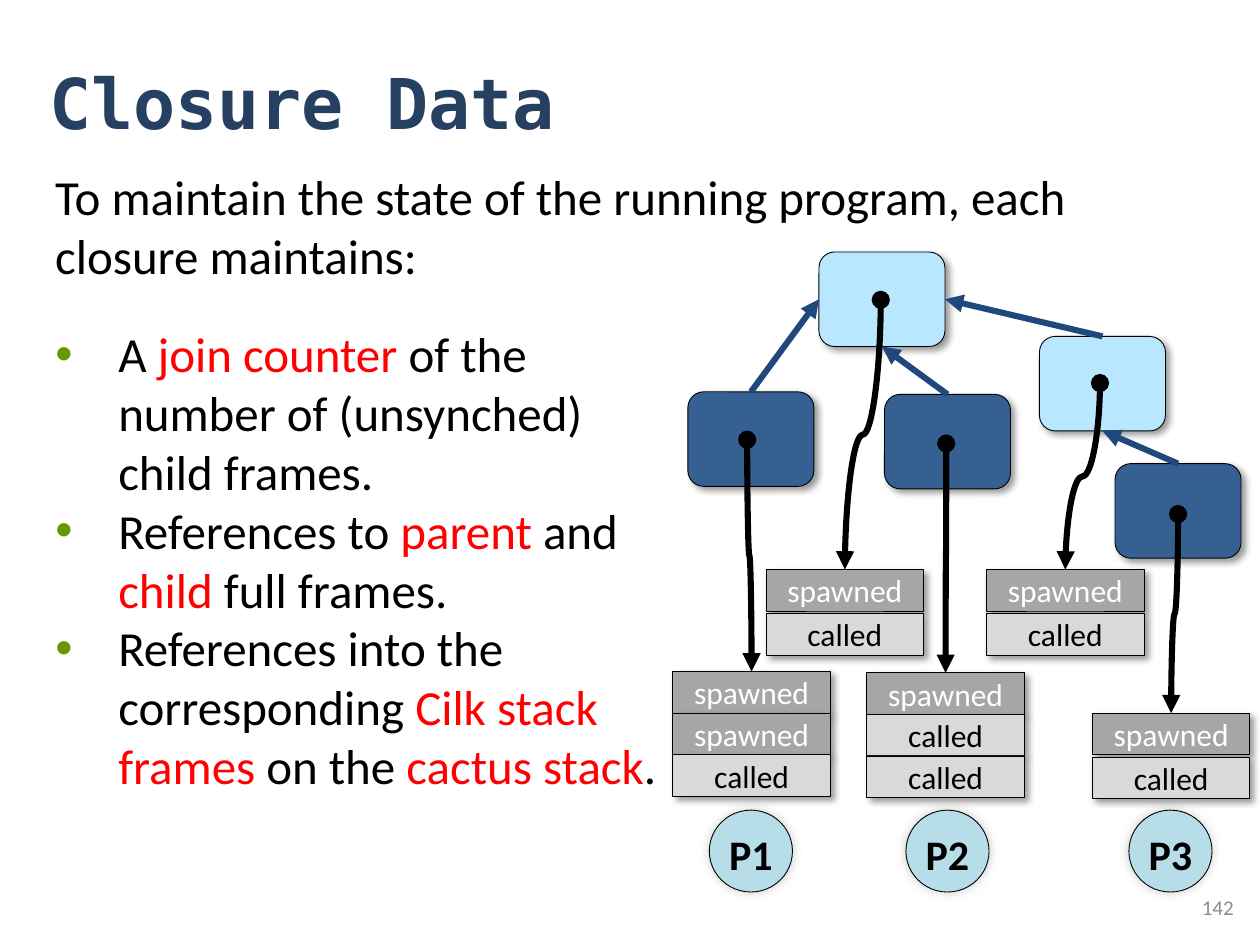
from pptx import Presentation
from pptx.dml.color import RGBColor
from pptx.enum.shapes import MSO_CONNECTOR, MSO_SHAPE
from pptx.enum.text import MSO_ANCHOR, MSO_AUTO_SIZE, PP_ALIGN
from pptx.oxml.ns import qn
from pptx.util import Emu, Pt
from lxml import etree

STRAIGHT, CURVE = MSO_CONNECTOR.STRAIGHT, MSO_CONNECTOR.CURVE
RECTANGLE, ROUNDED, OVAL = MSO_SHAPE.RECTANGLE, MSO_SHAPE.ROUNDED_RECTANGLE, MSO_SHAPE.OVAL
TOP, MIDDLE = MSO_ANCHOR.TOP, MSO_ANCHOR.MIDDLE
LEFT, CENTER, RIGHT = PP_ALIGN.LEFT, PP_ALIGN.CENTER, PP_ALIGN.RIGHT
GROW, NO_FIT = MSO_AUTO_SIZE.SHAPE_TO_FIT_TEXT, MSO_AUTO_SIZE.NONE

BLACK = RGBColor(0x00, 0x00, 0x00)
WHITE = RGBColor(0xFF, 0xFF, 0xFF)
RED = RGBColor(0xFF, 0x00, 0x00)
NAVY = RGBColor(0x25, 0x40, 0x61)
ARROW_BLUE = RGBColor(0x1F, 0x49, 0x7D)
DARK_BLUE = RGBColor(0x37, 0x60, 0x92)
LIGHT_BLUE = RGBColor(0xB9, 0xE7, 0xFF)
PALE_TEAL = RGBColor(0xB7, 0xDE, 0xE8)
DARK_GRAY = RGBColor(0xA6, 0xA6, 0xA6)
LIGHT_GRAY = RGBColor(0xD9, 0xD9, 0xD9)
NUMBER_GRAY = RGBColor(0x8C, 0x8C, 0x8C)
BULLET_GREEN = RGBColor(0x66, 0x99, 0x00)

BODY_FONT, TITLE_FONT = "Calibri", "DejaVu Sans Mono"
SCALE = 9144
BOX_WIDTH, BOX_HEIGHT = 100, 75
FRAME_WIDTH, FRAME_HEIGHT = 125, 33
BOX_SHADOW = (40, 4, 3, 45)
CIRCLE_SHADOW = (20, 6, 0, 315)
FRAME_STYLES = {"spawned": (DARK_GRAY, WHITE), "called": (LIGHT_GRAY, BLACK)}

INTRO = "To maintain the state of the running program, each closure maintains:"
BULLETS = [
    [("A ", BLACK), ("join counter ", RED), ("of the number of (unsynched) child frames.", BLACK)],
    [("References to ", BLACK), ("parent", RED), (" and ", BLACK), ("child", RED),
     (" full frames.", BLACK)],
    [("References into the corresponding ", BLACK), ("Cilk stack frames ", RED),
     ("on the ", BLACK), ("cactus stack", RED), (".", BLACK)],
]
CLOSURES = {
    "root": (650, 200, LIGHT_BLUE),
    "left": (546, 311, DARK_BLUE),
    "middle": (702, 313, DARK_BLUE),
    "right": (825, 267, LIGHT_BLUE),
    "leaf": (885, 368, DARK_BLUE),
}
PARENTS = [("left", "root", 1), ("middle", "root", 2), ("right", "root", 3), ("leaf", "right", 2)]
STACKS = [
    (534, 533, 33, ["spawned", "spawned", "called"], (593, 349)),
    (608, 452, 35, ["spawned", "called"], (699, 238)),
    (688, 534, 33, ["spawned", "called", "called"], (751, 352)),
    (783, 452, 35, ["spawned", "called"], (873, 304)),
    (867, 566, 35, ["spawned", "called"], (935, 408)),
]
PROCESSORS = [("P1", 563), ("P2", 719), ("P3", 896)]


def px(*lengths):
    return [Emu(round(length * SCALE)) for length in lengths]


def add_element(parent, tag, **attributes):
    return etree.SubElement(parent, qn(tag), {key: str(value) for key, value in attributes.items()})


def add_bullet(paragraph, indent):
    properties = paragraph._p.get_or_add_pPr()
    properties.set("marL", str(px(indent)[0]))
    properties.set("indent", str(px(-indent)[0]))
    add_element(add_element(properties, "a:buClr"), "a:srgbClr", val=BULLET_GREEN)
    add_element(properties, "a:buFont", typeface="Arial")
    add_element(properties, "a:buChar", char="•")


def write_text(frame, paragraphs, size=28, font=BODY_FONT, bold=False, align=LEFT,
               anchor=TOP, wrap=True, fit=NO_FIT, bullets=False):
    frame.auto_size, frame.word_wrap, frame.vertical_anchor = fit, wrap, anchor
    for index, runs in enumerate(paragraphs):
        paragraph = frame.add_paragraph() if index else frame.paragraphs[0]
        paragraph.alignment = align
        if bullets:
            add_bullet(paragraph, 50)
        for text, color in runs:
            run = paragraph.add_run()
            run.text = text
            run.font.size, run.font.name, run.font.bold = Pt(size), font, bold
            run.font.color.rgb = color


class SlideBuilder:
    def __init__(self, slide):
        self.slide = slide
        self.shapes = slide.shapes

    def title(self, text, *bounds):
        title = self.shapes.title
        title.left, title.top, title.width, title.height = px(*bounds)
        write_text(title.text_frame, [[(text, NAVY)]], size=40, font=TITLE_FONT,
                   bold=True, anchor=MIDDLE)

    def text(self, paragraphs, *bounds, **style):
        box = self.shapes.add_textbox(*px(*bounds))
        write_text(box.text_frame, paragraphs, **style)

    def shape(self, kind, fill, shadow, *bounds):
        shape = self.shapes.add_shape(kind, *px(*bounds))
        shape.fill.solid()
        shape.fill.fore_color.rgb = fill
        shape.line.color.rgb = BLACK
        shape.line.width = Pt(0.5)
        opacity, blur, distance, angle = shadow
        effects = add_element(shape._element.spPr, "a:effectLst")
        outer = add_element(effects, "a:outerShdw", blurRad=Pt(blur), dist=Pt(distance),
                            dir=angle * 60000, algn="ctr", rotWithShape=0)
        add_element(add_element(outer, "a:srgbClr", val=BLACK), "a:alpha", val=opacity * 1000)
        return shape

    def closure(self, left, top, fill):
        return self.shape(ROUNDED, fill, BOX_SHADOW, left, top, BOX_WIDTH, BOX_HEIGHT)

    def stack(self, left, top, pitch, labels):
        for index, label in enumerate(labels):
            fill, color = FRAME_STYLES[label]
            frame = self.shape(RECTANGLE, fill, BOX_SHADOW, left, top + index * pitch,
                               FRAME_WIDTH, FRAME_HEIGHT)
            write_text(frame.text_frame, [[(label, color)]], size=18, align=CENTER,
                       anchor=MIDDLE, wrap=False)

    def processor(self, label, left):
        circle = self.shape(OVAL, PALE_TEAL, CIRCLE_SHADOW, left, 643, 66, 65)
        write_text(circle.text_frame, [[(label, BLACK)]], size=24, bold=True,
                   align=CENTER, wrap=False)

    def style_arrow(self, connector, color, head=None):
        connector.line.color.rgb = color
        connector.line.width = Pt(3.5)
        line = connector.line._get_or_add_ln()
        if head:
            add_element(line, "a:headEnd", type=head)
        add_element(line, "a:tailEnd", type="triangle")
        add_element(connector._element.spPr, "a:effectLst")

    def parent_arrow(self, child, parent, side):
        connector = self.shapes.add_connector(STRAIGHT, 0, 0, 0, 0)
        connector.begin_connect(child, 0)
        connector.end_connect(parent, side)
        self.style_arrow(connector, ARROW_BLUE)

    def stack_arrow(self, start, end):
        (start_x, start_y), (end_x, end_y) = start, end
        center_x, center_y = (start_x + end_x) / 2, (start_y + end_y) / 2
        half_width, half_height = (end_x - start_x) / 2, (end_y - start_y) / 2
        connector = self.shapes.add_connector(CURVE, *px(
            center_x - half_height, center_y + half_width,
            center_x + half_height, center_y - half_width))
        connector.rotation = 90
        self.style_arrow(connector, BLACK, head="oval")


def main():
    presentation = Presentation()
    presentation.slide_width, presentation.slide_height = px(1000, 750)
    builder = SlideBuilder(presentation.slides.add_slide(presentation.slide_layouts[5]))
    builder.title("Closure Data", 29, 18, 900, 125)
    builder.text([[(INTRO, BLACK)]], 34, 127, 933, 104, fit=GROW)
    builder.text(BULLETS, 34, 252, 511, 387, fit=GROW, bullets=True)
    for label, left in PROCESSORS:
        builder.processor(label, left)
    boxes = {name: builder.closure(*values) for name, values in CLOSURES.items()}
    for child, parent, side in PARENTS:
        builder.parent_arrow(boxes[child], boxes[parent], side)
    for left, top, pitch, labels, start in STACKS:
        builder.stack(left, top, pitch, labels)
        builder.stack_arrow(start, (left + FRAME_WIDTH / 2, top))
    builder.text([[("142", NUMBER_GRAY)]], 921, 700, 68, 40, size=12, align=RIGHT, anchor=MIDDLE)
    presentation.save("out.pptx")


if __name__ == "__main__":
    main()
